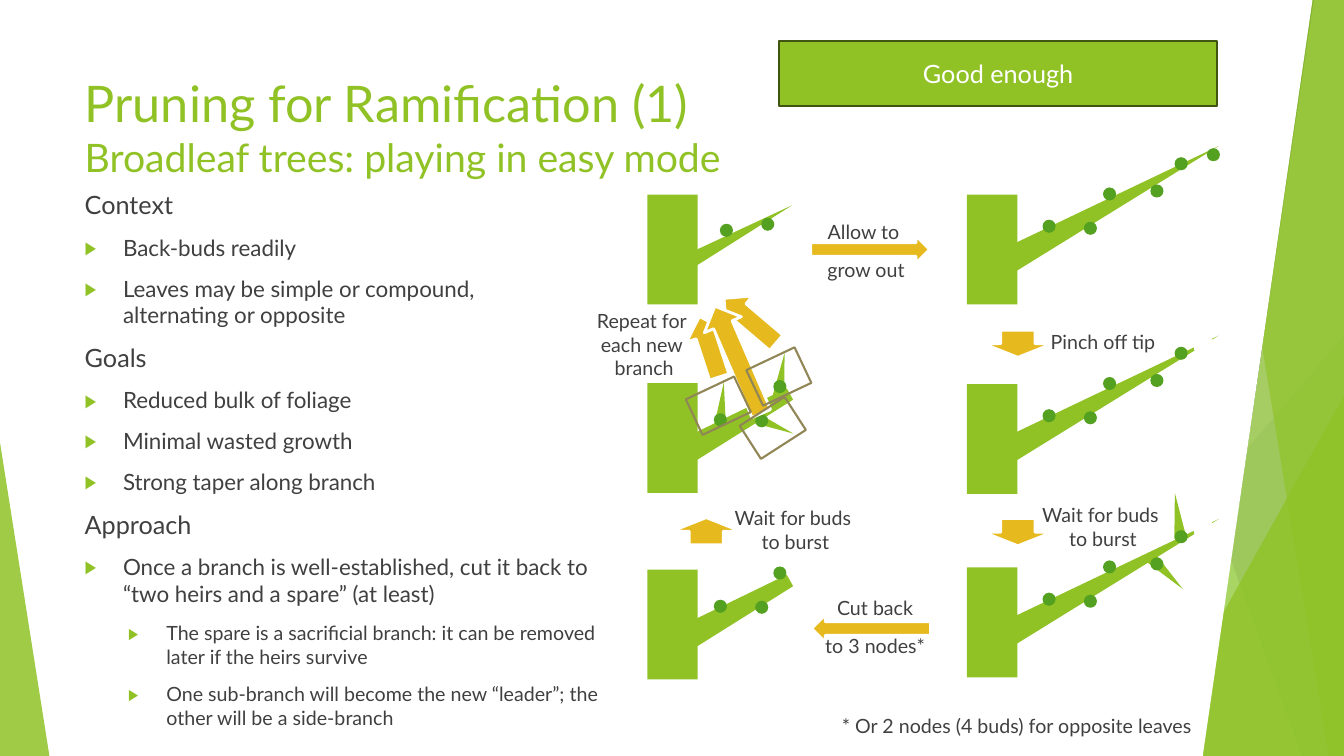
from dataclasses import dataclass

from lxml import etree
from pptx import Presentation
from pptx.dml.color import RGBColor
from pptx.enum.shapes import MSO_CONNECTOR, MSO_SHAPE
from pptx.enum.text import MSO_ANCHOR, MSO_AUTO_SIZE, PP_ALIGN
from pptx.oxml.ns import qn
from pptx.util import Cm, Pt

RECTANGLE = MSO_SHAPE.RECTANGLE
OVAL = MSO_SHAPE.OVAL
TRIANGLE = MSO_SHAPE.ISOSCELES_TRIANGLE
TRAPEZOID = MSO_SHAPE.TRAPEZOID
PARALLELOGRAM = MSO_SHAPE.PARALLELOGRAM
ARROW = MSO_SHAPE.RIGHT_ARROW
STRAIGHT = MSO_CONNECTOR.STRAIGHT
TOP, MIDDLE = MSO_ANCHOR.TOP, MSO_ANCHOR.MIDDLE
LEFT, CENTER = PP_ALIGN.LEFT, PP_ALIGN.CENTER
NO_FIT = MSO_AUTO_SIZE.NONE

FONT = "Lato"
GREEN = RGBColor(0x90, 0xC2, 0x26)
BUD_GREEN = RGBColor(0x54, 0xA0, 0x21)
DARK_GREEN = RGBColor(0x3F, 0x78, 0x19)
PALE_GREEN = RGBColor(0xC0, 0xE4, 0x74)
EDGE_GREEN = RGBColor(0x3F, 0x55, 0x11)
GOLD = RGBColor(0xE6, 0xB9, 0x1E)
BROWN = RGBColor(0x91, 0x86, 0x55)
GREY = RGBColor(0x40, 0x40, 0x40)
LIGHT_GREY = RGBColor(0xD9, 0xD9, 0xD9)
WHITE = RGBColor(0xFF, 0xFF, 0xFF)

WIDTH, HEIGHT = 13.33, 7.5
LONG_BUDS = ((0.75, 0.25), (1.16, 0.27), (1.35, -0.07), (1.82, -0.1), (2.06, -0.37))
CUT_BUDS = ((0.66, 0.3), (1.07, 0.31), (1.25, -0.03))


@dataclass(frozen=True)
class Branch:
    preset: int
    box: tuple
    angle: float


@dataclass(frozen=True)
class Tree:
    left: float
    top: float
    branch: Branch
    buds: tuple
    shoots: tuple = ()
    pinched: bool = False


@dataclass(frozen=True)
class Block:
    box: tuple
    angle: float


@dataclass(frozen=True)
class Label:
    box: tuple
    lines: tuple


SHORT = Branch(TRIANGLE, (0.81, -0.22, 0.16, 1.25), 61.4)
LONG = Branch(TRIANGLE, (1.27, -1.13, 0.27, 2.49), 61.4)
CUT = Branch(TRAPEZOID, (0.76, -0.2, 0.26, 1.2), 61)

TREES = (
    Tree(9.59, 1.93, LONG, LONG_BUDS + ((2.38, -0.46),)),
    Tree(6.42, 1.93, SHORT, ((0.72, 0.29), (1.13, 0.23))),
    Tree(6.42, 5.65, CUT, CUT_BUDS),
    Tree(9.59, 3.81, LONG, LONG_BUDS, pinched=True),
    Tree(9.59, 5.63, LONG, LONG_BUDS, ((1.92, -0.17, 134.5), (2.03, -0.74, 353.1)), True),
    Tree(6.42, 3.8, CUT, CUT_BUDS, ((0.68, -0.01, 4.9), (1.18, 0.19, 112.5), (1.27, -0.3, 8.1))),
)
STEP_ARROWS = (
    Block((8.04, 2.34, 1.18, 0.27), 0),
    Block((8.05, 6.1, 1.18, 0.27), 180),
    Block((9.96, 3.07, 0.27, 0.68), 90),
    Block((9.96, 4.94, 0.27, 0.68), 90),
    Block((6.72, 3.24, 0.63, 0.4), 251.9),
    Block((6.87, 4.93, 0.27, 0.68), 270),
)
RETURN_ARROWS = (
    Block((7.1, 2.98, 0.68, 0.4), 220.4),
    Block((6.74, 3.37, 1.16, 0.4), 246.6),
)
FRAMES = (
    Block((7.46, 3.54, 0.53, 0.39), 334.7),
    Block((6.86, 3.83, 0.53, 0.39), 334.7),
    Block((7.4, 4.05, 0.53, 0.39), 327.2),
)
LABELS = (
    Label((7.71, 1.98, 1.76, 1.01), ("Allow to ", "grow out")),
    Label((10.06, 2.88, 1.76, 1.01), ("Pinch off tip",)),
    Label((10.06, 4.72, 1.76, 1.01), ("Wait for buds \nto burst",)),
    Label((7.8, 5.71, 1.76, 1.01), ("Cut back", "to 3 nodes*")),
    Label((8.04, 6.91, 4.09, 0.58), ("* Or 2 nodes (4 buds) for opposite leaves",)),
    Label((7.01, 4.75, 1.76, 1.01), ("Wait for buds \nto burst",)),
    Label((5.51, 2.97, 1.76, 0.89), ("Repeat for \neach new \nbranch",)),
)
OUTLINE = (
    (0, "Context"),
    (1, "Back-buds readily"),
    (1, "Leaves may be simple or compound, \nalternating or opposite"),
    (0, "Goals"),
    (1, "Reduced bulk of foliage"),
    (1, "Minimal wasted growth"),
    (1, "Strong taper along branch"),
    (0, "Approach"),
    (1, "Once a branch is well-established, cut it back to “two heirs and a spare” (at least)"),
    (2, "The spare is a sacrificial branch: it can be removed later if the heirs survive"),
    (2, "One sub-branch will become the new “leader”; the other will be a side-branch"),
)
LEVEL_SIZES = (18, 16, 14)
LEVEL_INDENTS = (0, 0.38, 0.81)


def length(inches: float) -> Cm:
    return Cm(inches * 2.54)


def paint(shape, fill=None, line=None, weight: float = 1.5, opacity: int = 100) -> None:
    shape.shadow.inherit = False
    if fill is None:
        shape.fill.background()
    else:
        shape.fill.solid()
        shape.fill.fore_color.rgb = fill
        if opacity < 100:
            color = shape.element.spPr.find(f"{qn('a:solidFill')}/{qn('a:srgbClr')}")
            etree.SubElement(color, qn("a:alpha"), val=str(opacity * 1000))
    if line is None:
        shape.line.fill.background()
    else:
        shape.line.color.rgb = line
        shape.line.width = Pt(weight)


def draw(page, preset: int, box: tuple, angle: float = 0, adjust=None, **look):
    shape = page.shapes.add_shape(preset, *map(length, box))
    shape.rotation = angle
    if adjust is not None:
        shape.adjustments[0] = adjust
    paint(shape, **look)
    return shape


def write(para, text: str, *, size: float, color=GREY, align=LEFT, before: float = 0) -> None:
    para.alignment = align
    para.space_before = Pt(before)
    for number, line in enumerate(text.split("\n")):
        if number:
            para.add_line_break()
        span = para.add_run()
        span.text = line
        span.font.name = FONT
        span.font.size = Pt(size)
        span.font.color.rgb = color


def set_bullet(para, level: int) -> None:
    para.level = level
    properties = para._p.get_or_add_pPr()
    properties.set("marL", str(length(LEVEL_INDENTS[level])))
    properties.set("indent", str(length(-0.38) if level else 0))
    if not level:
        etree.SubElement(properties, qn("a:buNone"))
        return
    color = etree.SubElement(properties, qn("a:buClr"))
    etree.SubElement(color, qn("a:srgbClr"), val=str(GREEN))
    etree.SubElement(properties, qn("a:buSzPct"), val="80000")
    etree.SubElement(properties, qn("a:buFont"), typeface=FONT)
    etree.SubElement(properties, qn("a:buChar"), char="▶")


def prepare(box, place: tuple, anchor):
    box.left, box.top, box.width, box.height = map(length, place)
    frame = box.text_frame
    frame.word_wrap = True
    frame.auto_size = NO_FIT
    frame.vertical_anchor = anchor
    return frame


def draw_band(page, top_x: float, bottom_x: float, fill, opacity: int) -> None:
    builder = page.shapes.build_freeform(length(top_x), 0)
    corners = ((WIDTH, 0), (WIDTH, HEIGHT), (bottom_x, HEIGHT))
    builder.add_line_segments([(length(x), length(y)) for x, y in corners], close=True)
    paint(builder.convert_to_shape(), fill=fill, opacity=opacity)


def draw_backdrop(page) -> None:
    ray = page.shapes.add_connector(STRAIGHT, *map(length, (WIDTH, 4.03, 8.12, HEIGHT)))
    ray.line.color.rgb = LIGHT_GREY
    ray.line.width = Pt(0.75)
    etree.SubElement(ray.element.spPr, qn("a:effectLst"))
    draw_band(page, 12.28, 10.04, GREEN, 30)
    draw_band(page, 10.5, 11.83, GREEN, 20)
    draw(page, TRIANGLE, (9.77, 3.33, 3.56, 4.17), adjust=1, fill=BUD_GREEN, opacity=72)
    draw_band(page, 10.21, 12.91, DARK_GREEN, 70)
    draw_band(page, 13.03, 11.92, PALE_GREEN, 70)
    draw_band(page, 11.96, 13.18, GREEN, 65)
    draw(page, TRIANGLE, (11.34, 3.93, 1.99, 3.57), adjust=1, fill=GREEN, opacity=80)
    draw(page, TRIANGLE, (0, 4.39, 0.49, 3.11), adjust=0, fill=GREEN, opacity=85)
    draw(page, PARALLELOGRAM, (7.47, -0.02, 5.54, 7.52), adjust=0.197, fill=WHITE, line=WHITE)


def draw_text(page) -> None:
    title, body = page.shapes.title, page.placeholders[1]
    for holder in (title, body):
        holder.element.getparent().append(holder.element)
    para = prepare(title, (0.74, 0.67, 11.05, 1.26), TOP).paragraphs[0]
    write(para, "Pruning for Ramification (1)", size=36, color=GREEN)
    para.add_line_break()
    write(para, "Broadleaf trees: playing in easy mode", size=28, color=GREEN)
    frame = prepare(body, (0.74, 1.83, 5.46, 5.67), TOP)
    for number, (level, text) in enumerate(OUTLINE):
        para = frame.add_paragraph() if number else frame.paragraphs[0]
        write(para, text, size=LEVEL_SIZES[level], before=10)
        set_bullet(para, level)


def draw_tree(page, tree: Tree) -> None:
    def grow(preset: int, box: tuple, angle: float = 0, fill=GREEN) -> None:
        x, y, width, height = box
        draw(page, preset, (tree.left + x, tree.top + y, width, height), angle, fill=fill)

    grow(tree.branch.preset, tree.branch.box, tree.branch.angle)
    grow(RECTANGLE, (0, 0, 0.5, 1.09))
    if tree.pinched:
        grow(OVAL, (2.25, -0.48, 0.21, 0.22), fill=WHITE)
    for x, y, angle in tree.shoots:
        grow(TRIANGLE, (x, y, 0.12, 0.45), angle)
    for x, y in tree.buds:
        grow(OVAL, (x, y, 0.13, 0.13), fill=BUD_GREEN)


def draw_arrows(page, arrows: tuple) -> None:
    for arrow in arrows:
        draw(page, ARROW, arrow.box, arrow.angle, fill=GOLD, line=WHITE, weight=2)


def draw_label(page, label: Label) -> None:
    box = page.shapes.add_textbox(*map(length, label.box))
    frame = prepare(box, label.box, MIDDLE)
    for number, line in enumerate(label.lines):
        para = frame.add_paragraph() if number else frame.paragraphs[0]
        write(para, line, size=14, align=CENTER, before=10)


def main() -> None:
    deck = Presentation()
    deck.slide_width, deck.slide_height = length(WIDTH), length(HEIGHT)
    page = deck.slides.add_slide(deck.slide_layouts[1])
    draw_backdrop(page)
    draw_text(page)
    for tree in TREES:
        draw_tree(page, tree)
    draw_arrows(page, STEP_ARROWS)
    for label in LABELS:
        draw_label(page, label)
    draw_arrows(page, RETURN_ARROWS)
    for frame in FRAMES:
        draw(page, RECTANGLE, frame.box, frame.angle, line=BROWN)
    place = (7.73, 0.41, 4.34, 0.64)
    verdict = draw(page, RECTANGLE, place, fill=GREEN, line=EDGE_GREEN)
    para = prepare(verdict, place, MIDDLE).paragraphs[0]
    write(para, "Good enough", size=18, color=WHITE, align=CENTER)
    deck.save("out.pptx")


if __name__ == "__main__":
    main()
